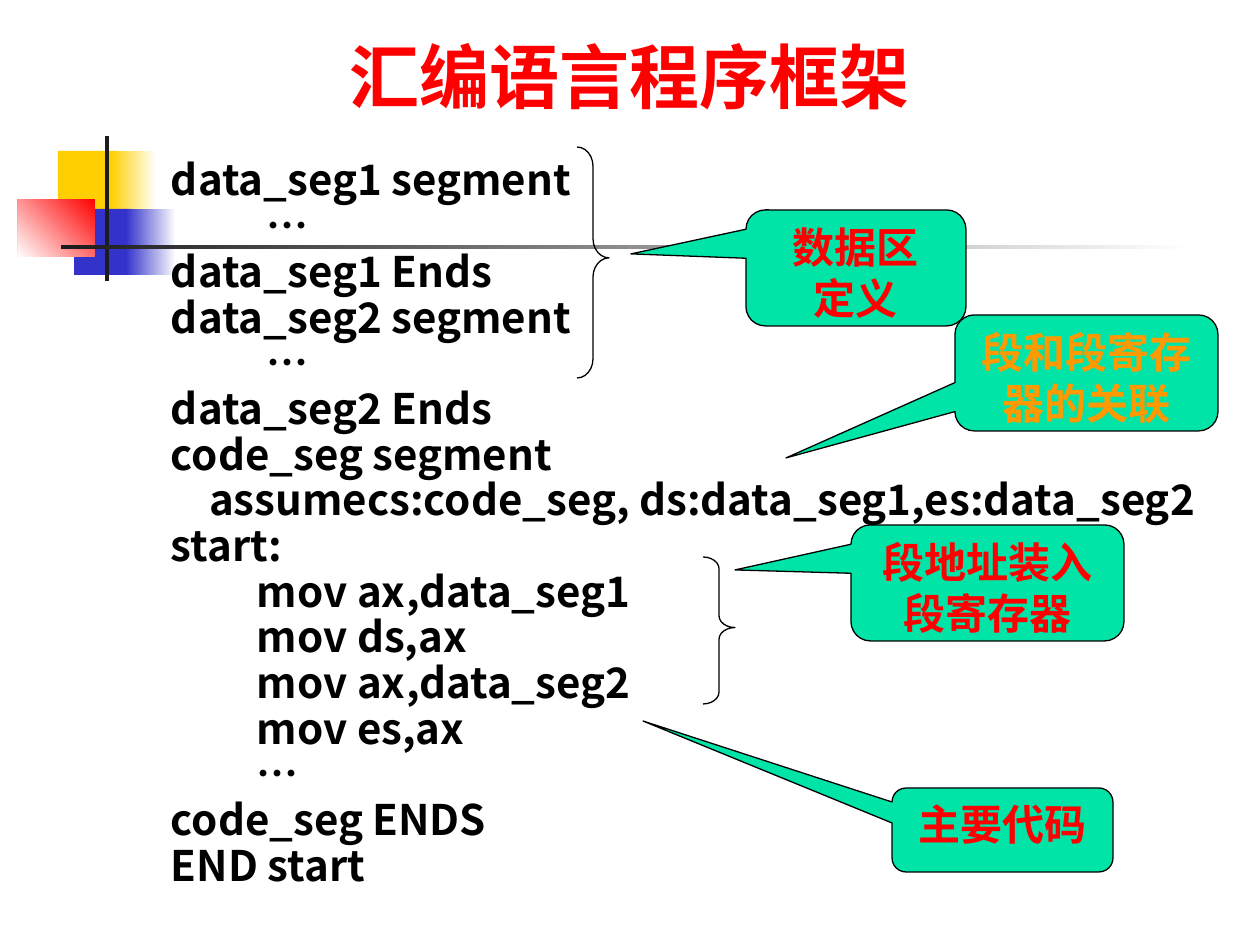
from dataclasses import dataclass

from pptx import Presentation
from pptx.dml.color import RGBColor
from pptx.enum.shapes import MSO_SHAPE
from pptx.enum.text import MSO_ANCHOR, PP_ALIGN
from pptx.util import Emu, Pt

PX_PER_INCH = 126


@dataclass(frozen=True)
class Theme:
    yellow: str = "FFCF01"
    blue: str = "3333CC"
    red: str = "FF0000"
    orange: str = "FF9900"
    green: str = "00E4A8"
    dark: str = "1C1C1C"
    black: str = "000000"
    white: str = "FFFFFF"
    title_font: str = "Cabin"
    code_font: str = "Noto Sans CJK SC"
    note_font: str = "Times New Roman"
    title_size: int = 40
    text_size: int = 24
    line_width: float = 0.75


T = Theme()

CODE = """\
data_seg1 segment
          …
data_seg1 Ends
data_seg2 segment
          …
data_seg2 Ends
code_seg segment
    assumecs:code_seg, ds:data_seg1,es:data_seg2
start:
         mov ax,data_seg1
         mov ds,ax
         mov ax,data_seg2
         mov es,ax
         …
code_seg ENDS
END start"""


def px(n):
    return Emu(round(n * 914400 / PX_PER_INCH))


def rgb(color):
    return RGBColor.from_string(color)


def add_shape(s, kind, box):
    sp = s.shapes.add_shape(kind, *map(px, box))
    sp.shadow.inherit = False
    return sp


def outline(sp):
    sp.line.color.rgb = rgb(T.black)
    sp.line.width = Pt(T.line_width)


def set_insets(tf, x, y):
    tf.margin_left = tf.margin_right = px(x)
    tf.margin_top = tf.margin_bottom = px(y)
    tf.word_wrap = True


def add_lines(tf, lines, font, size, color, align):
    for i, line in enumerate(lines):
        p = tf.paragraphs[0] if i == 0 else tf.add_paragraph()
        p.alignment = align
        r = p.add_run()
        r.text = line
        r.font.name = font
        r.font.size = Pt(size)
        r.font.bold = True
        r.font.color.rgb = rgb(color)


def add_bar(s, box, colors, angle=180):
    """Draw a borderless rectangle, plain for one colour and graded for two."""
    sp = add_shape(s, MSO_SHAPE.RECTANGLE, box)
    sp.line.fill.background()
    if len(colors) == 1:
        sp.fill.solid()
        sp.fill.fore_color.rgb = rgb(colors[0])
        return
    sp.fill.gradient()
    sp.fill.gradient_angle = angle
    for stop, color in zip(sp.fill.gradient_stops, colors):
        stop.color.rgb = rgb(color)


def add_ornament(s, box):
    """Draw the coloured squares and the crossing rules."""
    x, y, w, h = box
    side = 66
    for dx, dy, solid, fade, color in ((40, 15, 53, 45, T.yellow),
                                       (56, 73, 52, 50, T.blue)):
        add_bar(s, (x + dx, y + dy, solid + 5, side), [color])
        add_bar(s, (x + dx + solid, y + dy, fade, side), [T.white, color])
    add_bar(s, (x, y + 63, 77, 58), [T.red, T.white], 225)
    add_bar(s, (x + 87, y, 4, h), [T.dark])
    add_bar(s, (x + 43, y + 109, w - 43, 4), [T.white, T.dark])


def add_title(s, box, text):
    tf = s.shapes.add_textbox(*map(px, box)).text_frame
    set_insets(tf, 0, 0)
    tf.vertical_anchor = MSO_ANCHOR.BOTTOM
    add_lines(tf, [text], T.title_font, T.title_size, T.red, PP_ALIGN.CENTER)


def add_code(s, box):
    tf = s.shapes.add_textbox(*map(px, box)).text_frame
    set_insets(tf, 13, 6)
    add_lines(tf, CODE.split("\n"), T.code_font, T.text_size, T.black, PP_ALIGN.LEFT)
    for i, p in enumerate(tf.paragraphs):
        p.line_spacing = Pt(23.1)
        p.space_before = Pt(3 if i else 0)


def add_brace(s, box, curve):
    sp = add_shape(s, MSO_SHAPE.RIGHT_BRACE, box)
    sp.fill.background()
    outline(sp)
    sp.adjustments[0] = curve
    sp.adjustments[1] = 0.48


def add_callout(s, box, tip, lines, color):
    x, y, w, h = box
    sp = add_shape(s, MSO_SHAPE.ROUNDED_RECTANGULAR_CALLOUT, box)
    sp.adjustments[0] = (tip[0] - x) / w - 0.5
    sp.adjustments[1] = (tip[1] - y) / h - 0.5
    sp.fill.solid()
    sp.fill.fore_color.rgb = rgb(T.green)
    outline(sp)
    tf = sp.text_frame
    set_insets(tf, 13, 6)
    tf.vertical_anchor = MSO_ANCHOR.TOP
    add_lines(tf, lines, T.note_font, T.text_size, color, PP_ALIGN.CENTER)


def main():
    prs = Presentation()
    prs.slide_width, prs.slide_height = px(1260), px(945)
    s = prs.slides.add_slide(prs.slide_layouts[6])
    add_ornament(s, (18, 136, 1176, 145))
    add_title(s, (94, 21, 1071, 97), "汇编语言程序框架")
    add_code(s, (158, 158, 1102, 756))
    add_brace(s, (577, 147, 32, 231), 0.6)
    add_brace(s, (703, 557, 32, 147), 0.37)
    callouts = (
        ((746, 210, 220, 116), (631, 254), ["数据区", "定义"], T.red),
        ((955, 315, 263, 116), (786, 458), ["段和段寄存器的关联"], T.orange),
        ((851, 525, 273, 116), (735, 570), ["段地址装入段寄存器"], T.red),
        ((892, 788, 221, 84), (643, 721), ["主要代码"], T.red),
    )
    for callout in callouts:
        add_callout(s, *callout)
    prs.save("out.pptx")


if __name__ == "__main__":
    main()
